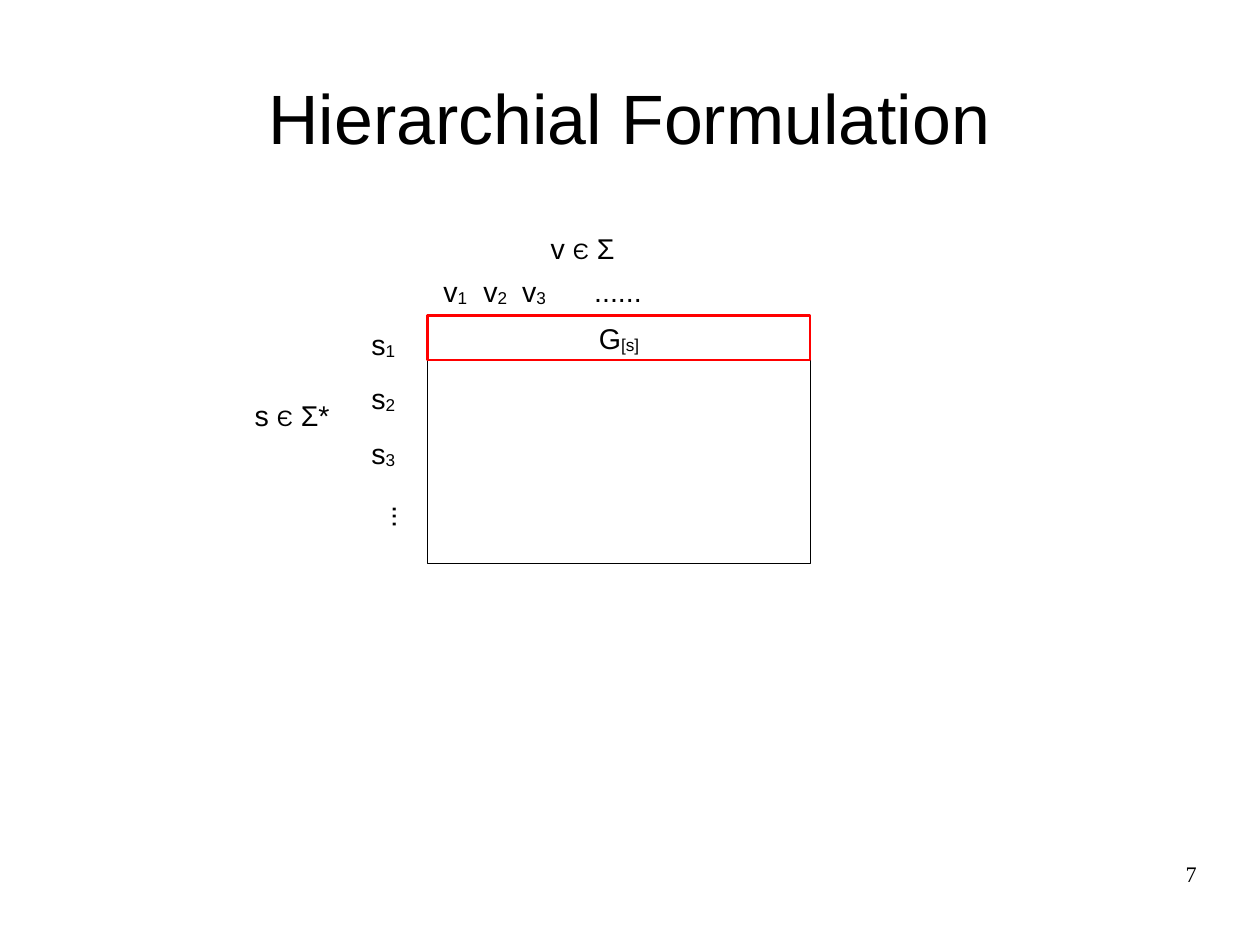
import pptx
import pptx.util
import pptx.dml.color
import pptx.enum.shapes
import pptx.enum.text
import pptx.oxml.ns
import lxml.etree

Inches = pptx.util.Inches
Pt = pptx.util.Pt
RGB = pptx.dml.color.RGBColor.from_string
Align = pptx.enum.text.PP_ALIGN
Anchor = pptx.enum.text.MSO_ANCHOR
Fit = pptx.enum.text.MSO_AUTO_SIZE

hues = {"ink": "000000", "mark": "FF0000"}
sides = ("margin_left", "margin_top", "margin_right", "margin_bottom")
base = {"word_wrap": False, "auto_size": Fit.SHAPE_TO_FIT_TEXT,
        "vertical_anchor": Anchor.TOP}
fixed = {"word_wrap": True, "auto_size": Fit.NONE}
mid = fixed | {"vertical_anchor": Anchor.MIDDLE}


def write(shape, lines, form, pads, align=Align.LEFT, gap=0, face="Arial"):
    frame = shape.text_frame
    values = base | dict(zip(sides, map(Inches, pads * 2))) | form
    for name, value in values.items():
        setattr(frame, name, value)
    for i, line in enumerate(lines):
        para = frame.add_paragraph() if i else frame.paragraphs[0]
        look = {"alignment": align, "space_before": Pt(gap if i else 0)}
        for name, value in look.items():
            setattr(para, name, value)
        for text, size, *shift in line:
            run = para.add_run()
            run.text = text
            look = {"name": face, "size": Pt(size), "bold": False}
            for name, value in look.items():
                setattr(run.font, name, value)
            run.font.color.rgb = RGB(hues["ink"])
            if shift:
                run.font._element.set("baseline", str(shift[0]))


def index(stem, sub):
    return [(stem, 18), (sub, 18.6, -8000)]


deck = pptx.Presentation()
deck.slide_width, deck.slide_height = Inches(28 / 2.54), Inches(21 / 2.54)
slide = deck.slides.add_slide(deck.slide_layouts[5])
shapes = slide.shapes

title = shapes.title
place = {"left": 0.55, "top": 0.33, "width": 9.92, "height": 1.38}
for name, value in place.items():
    setattr(title, name, Inches(value))
write(title, [[("Hierarchial Formulation", 44)]], mid, (0, 0), Align.CENTER)

boxes = []
for height, hue, width in ((2.17, "ink", 0), (0.39, "mark", 1.42)):
    box = shapes.add_shape(pptx.enum.shapes.MSO_SHAPE.RECTANGLE,
                           *map(Inches, (3.74, 2.76, 3.35, height)))
    box.shadow.inherit = False
    box.fill.background()
    box.line.color.rgb = RGB(hues[hue])
    box.line.width = Pt(width)
    boxes.append(box)
write(boxes[1], [index("G", "[s]")], mid, (0.11, 0.06), Align.CENTER)

heads = index("v", "1") + index("\tv", "2") + index("\tv", "3")
heads.append(("\t......", 18))
rows = [index("s", n) for n in "123"]
pad = (0.1, 0.05)
labels = {
    "heads": ((3.78, 2.34, 3.39, 0.46), [heads], fixed, pad),
    "rows": ((3.15, 2.8, 0.41, 1.76), rows, {}, pad, Align.LEFT, 12),
    "dots": ((3.15, 4.33, 0.41, 0.38), [[("...", 18)]], {}, pad),
    "top": ((4.72, 1.97, 0.76, 0.38),
            [[("v ", 18), ("Є", 14), (" Σ", 18)]], {}, pad),
    "side": ((2.13, 3.43, 0.88, 0.38),
             [[("s ", 18), ("Є", 14), (" Σ*", 18)]], {}, pad),
    "page": ((7.9, 7.53, 2.57, 0.57), [[("7", 14)]], fixed, (0, 0),
             Align.RIGHT, 0, "Times New Roman"),
}
texts = {}
for name, (spot, *rest) in labels.items():
    texts[name] = shapes.add_textbox(*map(Inches, spot))
    write(texts[name], *rest)
texts["dots"].rotation = 270

props = texts["heads"].text_frame.paragraphs[0]._p.get_or_add_pPr()
tag = pptx.oxml.ns.qn
stops = lxml.etree.SubElement(props, tag("a:tabLst"))
for stop in (0.35, 0.69, 1.32):
    lxml.etree.SubElement(stops, tag("a:tab"), pos=str(Inches(stop)), algn="l")

deck.save("out.pptx")
